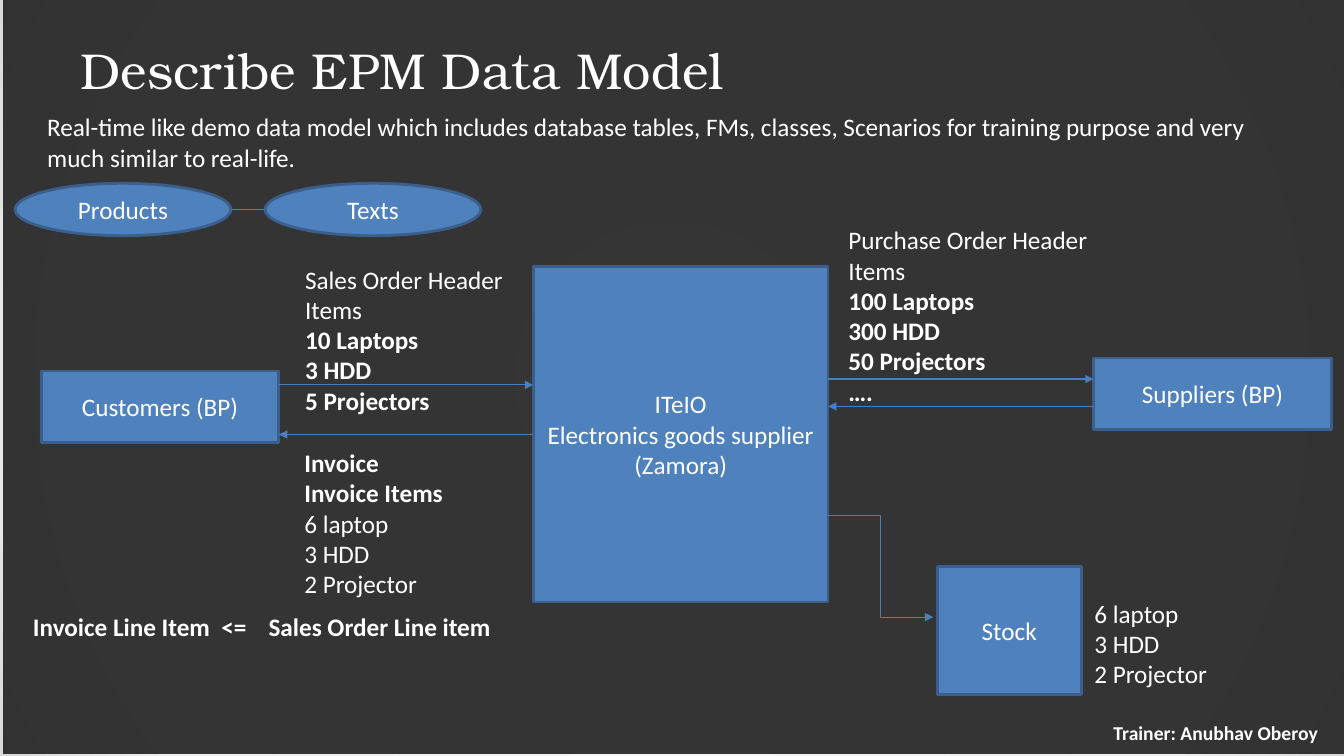
from lxml import etree
from pptx import Presentation
from pptx.dml.color import RGBColor
from pptx.enum.shapes import MSO_CONNECTOR, MSO_SHAPE
from pptx.enum.text import MSO_ANCHOR, PP_ALIGN
from pptx.oxml import parse_xml
from pptx.oxml.ns import nsdecls, qn
from pptx.util import Cm, Pt

RECT, OVAL = MSO_SHAPE.RECTANGLE, MSO_SHAPE.OVAL
STRAIGHT, ELBOW = MSO_CONNECTOR.STRAIGHT, MSO_CONNECTOR.ELBOW
TOP, MIDDLE = MSO_ANCHOR.TOP, MSO_ANCHOR.MIDDLE
LEFT, CENTER = PP_ALIGN.LEFT, PP_ALIGN.CENTER

WHITE = RGBColor(0xFF, 0xFF, 0xFF)
CHARCOAL = RGBColor(0x26, 0x26, 0x26)
BLUE = RGBColor(0x4F, 0x81, 0xBD)
BORDER = RGBColor(0x3A, 0x5F, 0x8C)
ARROW = RGBColor(0x4B, 0x7E, 0xBC)
BACKDROP = [(0, WHITE), (81, RGBColor(0xEE, 0xEE, 0xEE)), (100, RGBColor(0xD9, 0xD9, 0xD9))]
BODY_FONT, TITLE_FONT = "Calibri", "TeX Gyre Bonum"


class Board:
    def __init__(self, slide):
        self.s = slide

    def backdrop(self):
        stops = "".join(
            f'<a:gs pos="{pos * 1000}"><a:srgbClr val="{color}"/></a:gs>' for pos, color in BACKDROP
        )
        bg = parse_xml(
            f'<p:bg {nsdecls("p", "a")}><p:bgPr><a:gradFill><a:gsLst>{stops}</a:gsLst>'
            '<a:path path="circle"><a:fillToRect l="50000" t="50000" r="50000" b="50000"/></a:path>'
            "</a:gradFill><a:effectLst/></p:bgPr></p:bg>"
        )
        self.s.element.cSld.insert(0, bg)

    def veil(self, x, y, w, h, opacity):
        sp = self.s.shapes.add_shape(RECT, Cm(x), Cm(y), Cm(w), Cm(h))
        sp.shadow.inherit = False
        sp.fill.solid()
        sp.fill.fore_color.rgb = CHARCOAL
        sp.line.fill.background()
        color = sp.element.spPr.find(".//" + qn("a:srgbClr"))
        etree.SubElement(color, qn("a:alpha"), val=str(opacity * 1000))

    def fill_text(self, sp, lines, bold=(), size=18, font=BODY_FONT, align=LEFT, anchor=TOP, tabs=()):
        tf = sp.text_frame
        tf.word_wrap = True
        tf.vertical_anchor = anchor
        for i, line in enumerate(lines):
            p = tf.add_paragraph() if i else tf.paragraphs[0]
            p.text = line
            p.alignment = align
            if tabs:
                tab_list = etree.SubElement(p._p.get_or_add_pPr(), qn("a:tabLst"))
                for tab in tabs:
                    etree.SubElement(tab_list, qn("a:tab"), pos=str(int(Cm(tab))), algn="l")
            p.font.name = font
            p.font.size = Pt(size)
            p.font.bold = i in bold
            p.font.color.rgb = WHITE

    def text(self, x, y, w, h, *lines, wide=False, **style):
        sp = self.s.shapes.add_textbox(Cm(x), Cm(y), Cm(w), Cm(h))
        self.fill_text(sp, lines, **style)
        if wide:
            tf = sp.text_frame
            tf.margin_left = tf.margin_right = Cm(0.33)
            tf.margin_top = tf.margin_bottom = Cm(0.18)

    def node(self, x, y, w, h, *lines, kind=RECT):
        sp = self.s.shapes.add_shape(kind, Cm(x), Cm(y), Cm(w), Cm(h))
        sp.shadow.inherit = False
        sp.fill.solid()
        sp.fill.fore_color.rgb = BLUE
        sp.line.color.rgb = BORDER
        sp.line.width = Pt(2)
        self.fill_text(sp, lines, align=CENTER, anchor=MIDDLE)

    def link(self, x1, y1, x2, y2, kind=STRAIGHT, arrow=True):
        c = self.s.shapes.add_connector(kind, Cm(x1), Cm(y1), Cm(x2), Cm(y2))
        c.line.color.rgb = ARROW
        c.line.width = Pt(0.75)
        if arrow:
            etree.SubElement(c.get_or_add_ln(), qn("a:tailEnd"), type="triangle")
        etree.SubElement(c.element.spPr, qn("a:effectLst"))


def main():
    prs = Presentation()
    prs.slide_width, prs.slide_height = Cm(33.87), Cm(19.05)
    board = Board(prs.slides.add_slide(prs.slide_layouts[6]))

    board.backdrop()
    board.veil(0.08, -0.05, 33.87, 19.05, 93)
    board.text(1.7, 0.76, 30.48, 1.98, "Describe EPM Data Model",
               size=36, font=TITLE_FONT, anchor=MIDDLE, wide=True)
    board.text(27.53, 17.98, 6.22, 0.99, "Trainer: Anubhav Oberoy",
               bold=[0], size=14, align=CENTER, anchor=MIDDLE, wide=True)
    board.text(0.94, 2.69, 31.37, 1.8,
               "Real-time like demo data model which includes database tables, FMs, classes, "
               "Scenarios for training purpose and very much similar to real-life.")

    party_w, party_h = 5.99, 1.8
    customers_x, company_x, suppliers_x = 1.04, 13.44, 27.56
    company_w = 7.43
    customers_right, company_right = customers_x + party_w, company_x + company_w
    board.node(company_x, 6.71, company_w, 8.46, "ITeIO", "Electronics goods supplier (Zamora)")
    board.node(customers_x, 9.35, party_w, party_h, "Customers (BP)")
    board.node(suppliers_x, 9.02, party_w, party_h, "Suppliers (BP)")
    board.node(23.62, 14.27, 3.63, 3.23, "Stock")

    oval_w, oval_h, oval_y = 5.44, 1.32, 4.62
    products_x, texts_x = 0.38, 6.68
    board.node(products_x, oval_y, oval_w, oval_h, "Products", kind=OVAL)
    board.node(texts_x, oval_y, oval_w, oval_h, "Texts", kind=OVAL)
    oval_mid = oval_y + oval_h / 2
    board.link(products_x + oval_w, oval_mid, texts_x, oval_mid, arrow=False)

    board.link(customers_right, 9.7, company_x, 9.7)
    board.link(company_x, 10.95, customers_right, 10.95)
    board.link(company_right, 9.55, suppliers_x, 9.55)
    board.link(suppliers_x, 10.24, company_right, 10.24)
    board.link(company_right, 12.98, 23.52, 15.55, kind=ELBOW)

    delivered = ["6 laptop", "3 HDD", "2 Projector"]
    board.text(7.44, 6.53, 5.82, 4.11, "Sales Order Header", "Items",
               "10 Laptops", "3 HDD", "5 Projectors", bold=range(2, 5))
    board.text(7.42, 11.15, 4.65, 4.11, "Invoice", "Invoice Items", *delivered, bold=range(2))
    board.text(21.13, 5.54, 6.99, 4.88, "Purchase Order Header", "Items",
               "100 Laptops", "300 HDD", "50 Projectors", "….", bold=range(2, 6))
    board.text(27.33, 14.94, 5.97, 2.57, *delivered)
    board.text(0.58, 15.27, 14.55, 1.02, "Invoice Line Item\t<=\tSales Order Line item",
               bold=[0], tabs=[4.75, 5.94])

    prs.save("out.pptx")


if __name__ == "__main__":
    main()
